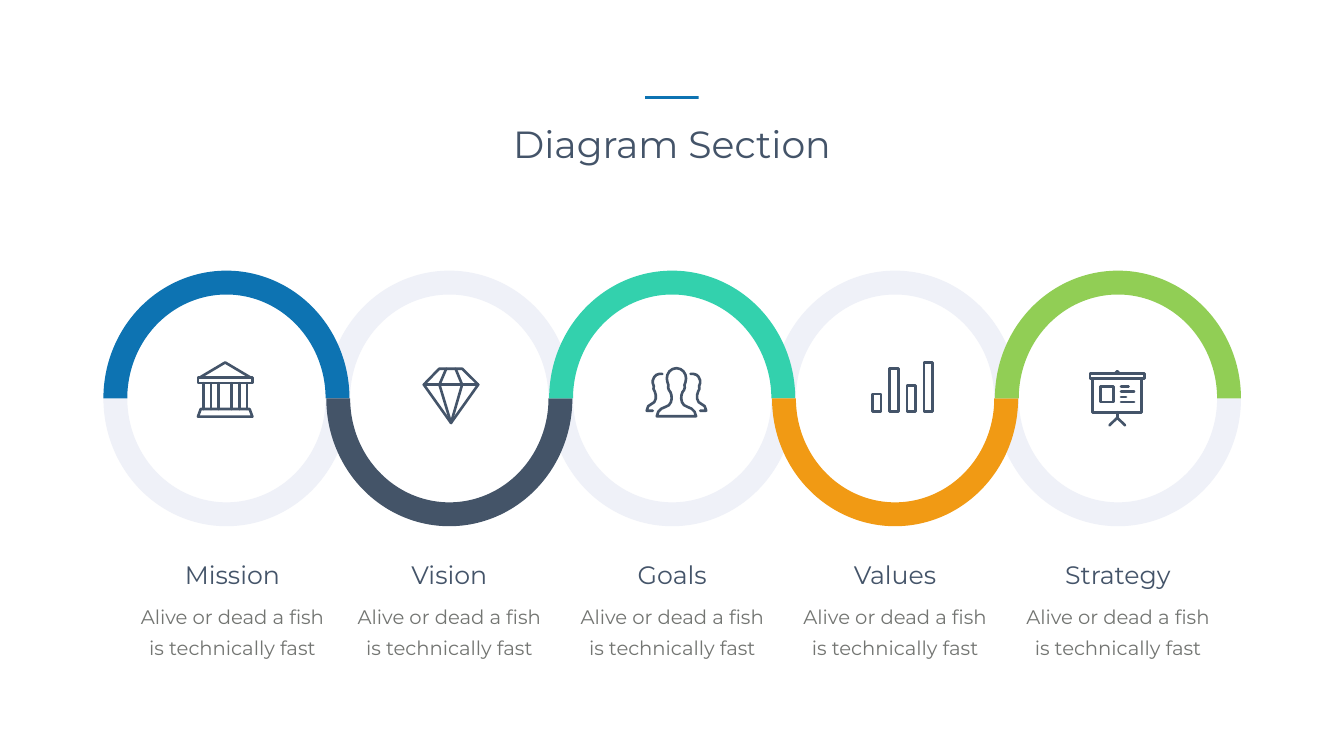
from dataclasses import dataclass

from lxml.etree import SubElement
from pptx import Presentation
from pptx.dml.color import RGBColor
from pptx.enum.shapes import MSO_SHAPE as Preset
from pptx.enum.text import MSO_AUTO_SIZE as AutoSize, PP_ALIGN as Align
from pptx.oxml.ns import qn
from pptx.slide import Slide
from pptx.util import Cm, Pt

Points = list[tuple[float, float]]


@dataclass(frozen=True)
class Theme:
    font: str = "Montserrat"
    ink: str = "445469"
    body: str = "737572"
    accent: str = "0D73B2"
    pale: str = "EFF1F8"
    title_size: float = 54
    label_size: float = 36
    body_size: float = 28
    body_spacing: float = 44.4
    icon_stroke: float = 3.75


@dataclass(frozen=True)
class Stroke:
    points: Points
    closed: bool = False


@dataclass(frozen=True)
class Step:
    label: str
    label_width: float
    color: str
    icon: list[Stroke]
    icon_left: float
    icon_top: float
    caption_shift: float = 0


THEME = Theme()
SLIDE_WIDTH, SLIDE_HEIGHT = 67.72, 38.1
RING_LEFT, RING_TOP, RING_PITCH = 5.21, 13.64, 11.23
RING_WIDTH, RING_HEIGHT, RING_THICKNESS = 12.4, 12.88, 0.097
CAPTION_WIDTH = 10.36
ICON_UNIT = 0.0254  # centimetres per icon grid unit
CAPTION = "Alive or dead a fish is technically fast"


# Icon outlines, on a grid of about 113 units
def box(left: float, top: float, right: float, bottom: float) -> Stroke:
    return Stroke([(left, top), (right, top), (right, bottom), (left, bottom)], True)


def line(x1: float, y1: float, x2: float, y2: float) -> Stroke:
    return Stroke([(x1, y1), (x2, y2)])


def mirrored(points: Points, width: float = 124) -> Points:
    return [(width - x, y) for x, y in points]


TEMPLE = [
    Stroke([(6, 33), (56.5, 3), (107, 33)]),
    box(2.5, 33.5, 110.5, 44),
    *[line(x, 44, x, 95.5) for x in (13, 28.5, 43.5, 69.5, 84.5, 100)],
    Stroke([(8, 95.5), (105, 95.5), (110.5, 110.5), (2.5, 110.5)], True),
]
DIAMOND = [
    Stroke([(33, 2.5), (79, 2.5), (110.5, 34), (56.5, 110), (2.5, 34)], True),
    line(2.5, 34, 110.5, 34),
    Stroke([(47, 2.5), (33.5, 34), (56.5, 110), (78.5, 34), (65.5, 2.5)]),
]
FRONT_HALF = [(62, 2.5), (54, 4.5), (48, 9), (44, 16), (43, 23), (44, 30), (46, 36),
              (45.5, 41), (47, 46), (50, 50), (52, 56), (52.5, 63), (51, 70),
              (47, 76), (40, 79.5), (32, 83), (26, 89), (23, 98)]
BACK_HALF = [(34, 14), (28, 14), (22, 16), (18, 20), (15, 27), (15, 32), (17, 38),
             (16.5, 44), (19, 49), (21, 56), (21, 63), (18, 70), (12, 74),
             (6, 78), (3, 87), (15, 87)]
PEOPLE = [
    Stroke(FRONT_HALF + mirrored(FRONT_HALF)[::-1], True),
    Stroke(BACK_HALF),
    Stroke(mirrored(BACK_HALF)),
]
BARS = [box(3 + 34 * i, top, 20 + 34 * i, 100) for i, top in enumerate((66, 15, 49, 3))]
BOARD = [
    box(2.5, 7.5, 110.5, 17.5),
    box(7.5, 17.5, 105, 84),
    Stroke([(53, 6), (56.5, 2.5), (60, 6)]),
    line(56.5, 84, 56.5, 95),
    Stroke([(41, 110), (56.5, 95), (72, 110)]),
    box(23.5, 32.5, 48.5, 63.5),
    *[line(64, y, right, y) for y, right in ((32.5, 79), (43, 90), (53.5, 74), (63.5, 90))],
]

STEPS = [
    Step("Mission", 5.36, "0D73B2", TEMPLE, 9.91, 18.19, caption_shift=0.3),
    Step("Vision", 4.39, "445468", DIAMOND, 21.29, 18.52),
    Step("Goals", 4.04, "33D1AD", PEOPLE, 32.51, 18.49),
    Step("Values", 4.78, "F19A14", BARS, 43.89, 18.19),
    Step("Strategy", 5.97, "91CE55", BOARD, 54.86, 18.64),
]


def add_filled(slide: Slide, preset: Preset, left: float, top: float,
               width: float, height: float, color: str):
    shape = slide.shapes.add_shape(preset, Cm(left), Cm(top), Cm(width), Cm(height))
    shape.shadow.inherit = False
    shape.fill.solid()
    shape.fill.fore_color.rgb = RGBColor.from_string(color)
    shape.line.fill.background()
    return shape


def add_half_ring(slide: Slide, index: int, upper: bool, color: str) -> None:
    shape = add_filled(slide, Preset.BLOCK_ARC, RING_LEFT + index * RING_PITCH, RING_TOP,
                       RING_WIDTH, RING_HEIGHT, color)
    shape.adjustments[0] = 108
    shape.adjustments[1] = 0
    shape.adjustments[2] = RING_THICKNESS
    shape.rotation = 0 if upper else 180


def add_text(slide: Slide, text: str, center: float, top: float, width: float, height: float,
             size: float, color: str, wrap: bool = True, spacing: float | None = None) -> None:
    shape = slide.shapes.add_textbox(Cm(center - width / 2), Cm(top), Cm(width), Cm(height))
    frame = shape.text_frame
    frame.word_wrap = wrap
    frame.auto_size = AutoSize.SHAPE_TO_FIT_TEXT
    paragraph = frame.paragraphs[0]
    paragraph.text = text
    paragraph.alignment = Align.CENTER
    if spacing:
        paragraph.line_spacing = Pt(spacing)
    paragraph.font.name = THEME.font
    paragraph.font.size = Pt(size)
    paragraph.font.color.rgb = RGBColor.from_string(color)


def add_icon(slide: Slide, step: Step) -> None:
    builder = None
    for stroke in step.icon:
        start, *rest = [(Cm(x * ICON_UNIT), Cm(y * ICON_UNIT)) for x, y in stroke.points]
        if builder is None:
            builder = slide.shapes.build_freeform(*start)
        else:
            builder.move_to(*start)
        builder.add_line_segments(rest, close=stroke.closed)
    shape = builder.convert_to_shape(Cm(step.icon_left), Cm(step.icon_top))
    shape.shadow.inherit = False
    shape.fill.background()
    shape.line.color.rgb = RGBColor.from_string(THEME.ink)
    shape.line.width = Pt(THEME.icon_stroke)
    # Round caps and joins
    outline = shape.line._get_or_add_ln()
    outline.set("cap", "rnd")
    SubElement(outline, qn("a:round"))


def main() -> None:
    presentation = Presentation()
    presentation.slide_width = Cm(SLIDE_WIDTH)
    presentation.slide_height = Cm(SLIDE_HEIGHT)
    slide = presentation.slides.add_slide(presentation.slide_layouts[6])

    # Heading
    add_text(slide, "Diagram Section", SLIDE_WIDTH / 2, 5.94, 25.86, 2.57,
             THEME.title_size, THEME.ink)
    add_filled(slide, Preset.RECTANGLE, 32.51, 4.85, 2.69, 0.13, THEME.accent)

    # Chain of rings: coloured halves alternate between top and bottom
    for index in range(len(STEPS)):
        add_half_ring(slide, index, index % 2 == 1, THEME.pale)
    for index, step in enumerate(STEPS):
        add_half_ring(slide, index, index % 2 == 0, step.color)

    # Icons and captions
    for index, step in enumerate(STEPS):
        center = RING_LEFT + RING_WIDTH / 2 + index * RING_PITCH + step.caption_shift
        add_icon(slide, step)
        add_text(slide, step.label, center, 28.07, step.label_width, 1.8,
                 THEME.label_size, THEME.ink, wrap=False)
        add_text(slide, CAPTION, center, 30, CAPTION_WIDTH, 3.25,
                 THEME.body_size, THEME.body, spacing=THEME.body_spacing)

    presentation.save("out.pptx")


if __name__ == "__main__":
    main()
